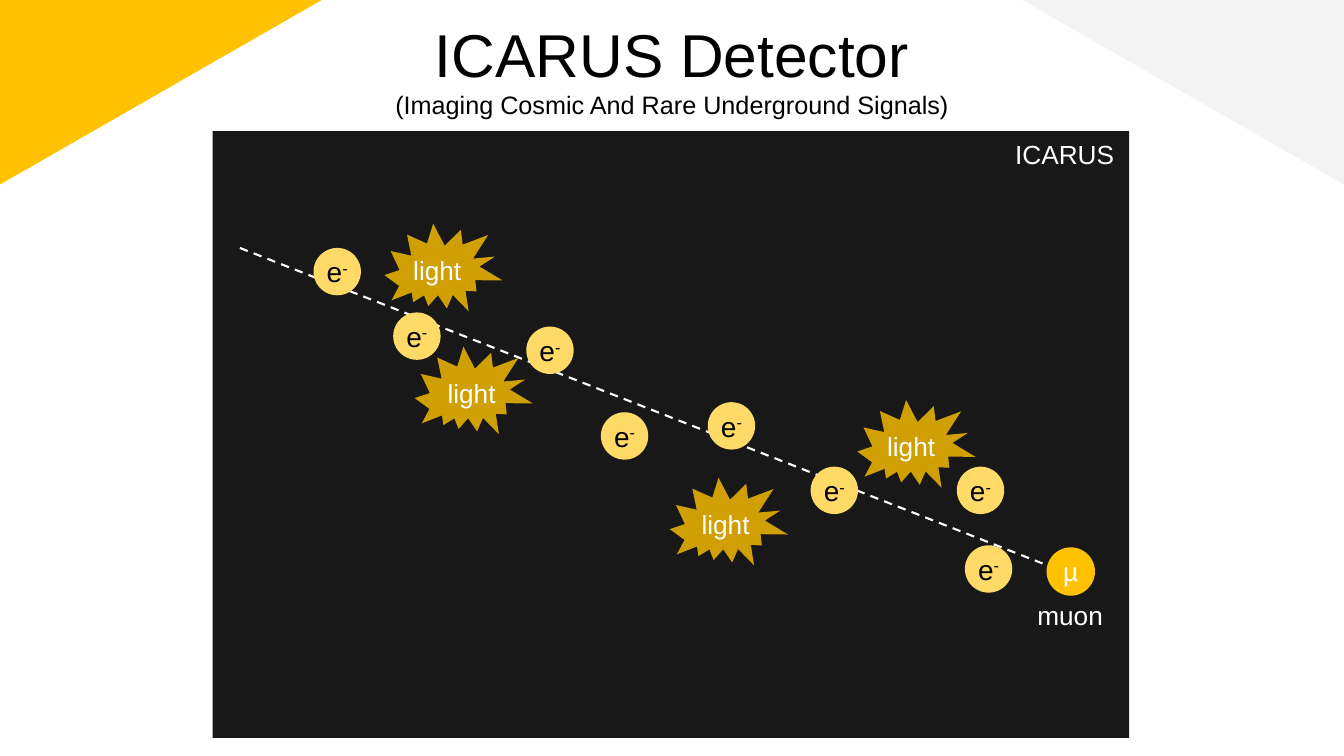
import pptx
import pptx.util
import pptx.dml.color
import pptx.enum.dml
import pptx.enum.shapes
import pptx.enum.text
import pptx.oxml.ns
from lxml import etree

Inches = pptx.util.Inches
SHAPE = pptx.enum.shapes.MSO_SHAPE
ALIGN = pptx.enum.text.PP_ALIGN
ANCHOR = pptx.enum.text.MSO_ANCHOR

THEME = {
    "font": "Arial",
    "black": "000000", "white": "FFFFFF", "dark": "181818",
    "gold": "FFC100", "pale_gold": "FFDA66", "grey": "F3F3F3",
    "title": 43.2, "subtitle": 18, "electron": 20, "label": 18.7,
}


def add_filled(kind, left, top, width, height, color):
    sp = slide.shapes.add_shape(kind, Inches(left), Inches(top), Inches(width), Inches(height))
    sp.shadow.inherit = False
    sp.fill.solid()
    sp.fill.fore_color.rgb = pptx.dml.color.RGBColor.from_string(THEME[color])
    sp.line.fill.background()
    return sp


def add_run(p, text, size, color):
    r = p.add_run()
    r.text = text
    r.font.name = THEME["font"]
    r.font.size = pptx.util.Pt(THEME[size])
    r.font.color.rgb = pptx.dml.color.RGBColor.from_string(THEME[color])
    return r


prs = pptx.Presentation()
prs.slide_width = Inches(13.33)
prs.slide_height = Inches(7.5)
slide = prs.slides.add_slide(prs.slide_layouts[5])

title = slide.shapes.title
title.left, title.top = Inches(0.76), Inches(0.02)
title.width, title.height = Inches(11.81), Inches(0.84)
tf = title.text_frame
tf.auto_size = pptx.enum.text.MSO_AUTO_SIZE.NONE
tf.word_wrap = True
tf.vertical_anchor = ANCHOR.TOP
tf.margin_top = Inches(0.15)
p = tf.paragraphs[0]
p.alignment = ALIGN.CENTER
add_run(p, "ICARUS Detector", "title", "black")
p.add_line_break()
add_run(p, "(Imaging Cosmic And Rare Underground Signals)", "subtitle", "black")

for left, color, flip in [(0, "gold", "1"), (10.14, "grey", "0")]:
    corner = add_filled(SHAPE.RIGHT_TRIANGLE, left, 0, 3.19, 1.83, color)
    corner.rotation = 180
    corner.element.spPr.find(pptx.oxml.ns.qn("a:xfrm")).set("flipH", flip)

add_filled(SHAPE.RECTANGLE, 2.11, 1.3, 9.09, 6.02, "dark")

track = slide.shapes.add_connector(
    pptx.enum.shapes.MSO_CONNECTOR.STRAIGHT,
    Inches(2.38), Inches(2.46), Inches(10.34), Inches(5.59))
track.line.color.rgb = pptx.dml.color.RGBColor.from_string(THEME["white"])
track.line.width = pptx.util.Pt(1.5)
track.line.dash_style = pptx.enum.dml.MSO_LINE.DASH
etree.SubElement(track.element.spPr, pptx.oxml.ns.qn("a:effectLst"))

electrons = [(3.11, 2.46), (9.49, 4.63), (3.9, 3.1), (5.22, 3.24),
             (5.96, 4.09), (7.02, 3.99), (9.57, 5.41), (8.04, 4.63)]
particles = [(x, y, 0.47, "pale_gold", "e", "electron", "black") for x, y in electrons]
particles.append((10.38, 5.43, 0.48, "gold", "µ", "label", "white"))
for left, top, size, fill, symbol, text_size, color in particles:
    sp = add_filled(SHAPE.OVAL, left, top, size, size, fill)
    tf = sp.text_frame
    tf.margin_left = tf.margin_right = tf.margin_top = tf.margin_bottom = 0
    tf.vertical_anchor = ANCHOR.MIDDLE
    p = tf.paragraphs[0]
    p.alignment = ALIGN.CENTER
    add_run(p, symbol, text_size, color)
    if symbol == "e":
        charge = add_run(p, "-", text_size, color)
        charge.font._element.set("baseline", "30000")

for left, top in [(6.68, 4.68), (3.85, 2.16), (8.54, 3.91), (4.15, 3.38)]:
    burst = add_filled(SHAPE.EXPLOSION2, left, top, 1.11, 1.04, "gold")
    burst.rotation = 29.9
    rgb = burst.element.spPr.find(".//" + pptx.oxml.ns.qn("a:srgbClr"))
    etree.SubElement(rgb, pptx.oxml.ns.qn("a:alpha")).set("val", "80000")

labels = [("light", 6.86, 4.98, 0.68), ("light", 8.7, 4.21, 0.68),
          ("light", 4.34, 3.68, 0.68), ("light", 4, 2.46, 0.68),
          ("muon", 10.19, 5.89, 0.86), ("ICARUS", 9.97, 1.31, 1.19)]
for text, left, top, width in labels:
    box = slide.shapes.add_textbox(Inches(left), Inches(top), Inches(width), Inches(0.42))
    tf = box.text_frame
    tf.word_wrap = False
    tf.margin_top = tf.margin_bottom = Inches(0.06)
    add_run(tf.paragraphs[0], text, "label", "white")

prs.save("out.pptx")
